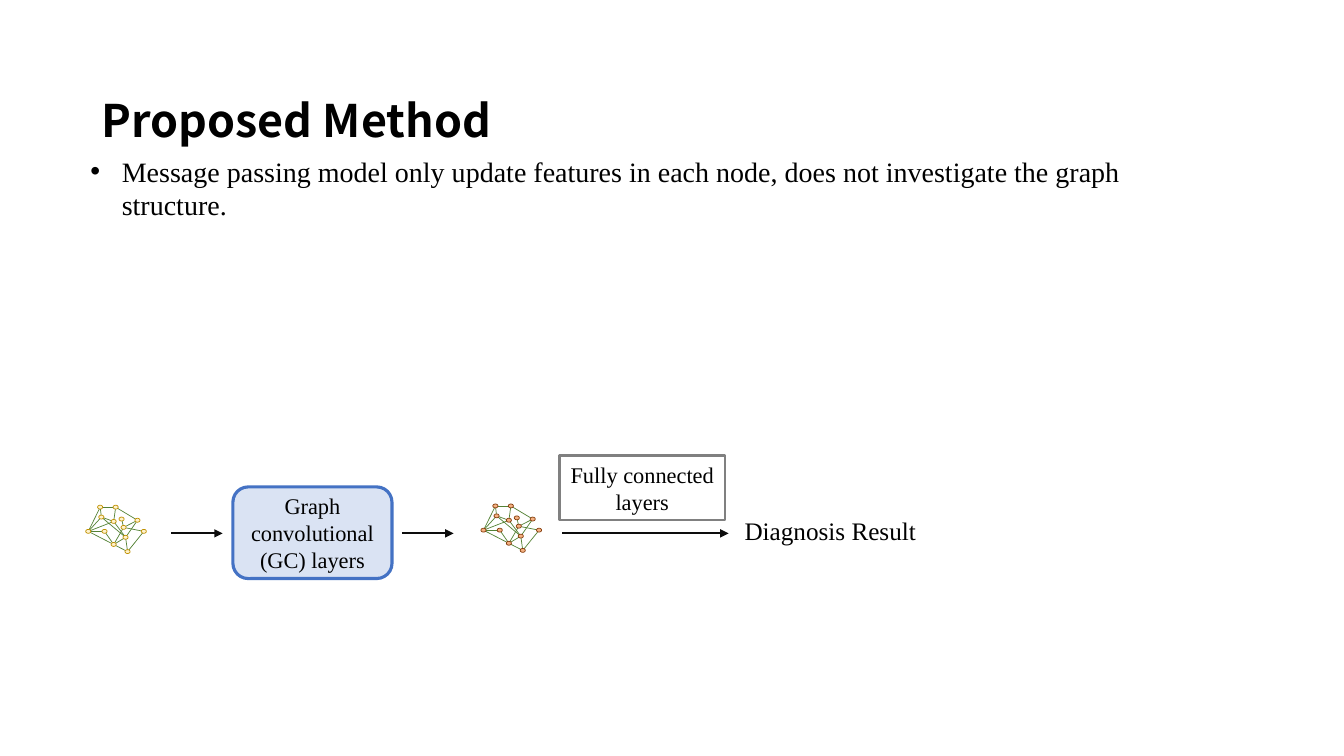
from lxml import etree
from pptx import Presentation
from pptx.dml.color import RGBColor
from pptx.enum import shapes, text
from pptx.oxml import ns
from pptx.util import Cm, Pt

BLACK = RGBColor(0x00, 0x00, 0x00)
ARROW = RGBColor(0x0D, 0x0D, 0x0D)
GREY = RGBColor(0x80, 0x80, 0x80)
BLUE = RGBColor(0x44, 0x72, 0xC4)
PALE_BLUE = RGBColor(0xDA, 0xE3, 0xF3)
GREEN = RGBColor(0x54, 0x82, 0x35)
PALE_YELLOW = RGBColor(0xFF, 0xF2, 0xCC)
GOLD = RGBColor(0xBF, 0x90, 0x00)
ORANGE = RGBColor(0xF4, 0xB1, 0x83)
BROWN = RGBColor(0x84, 0x3C, 0x0B)


def write(shape, wording, size, align=text.PP_ALIGN.CENTER):
    frame = shape.text_frame
    frame.word_wrap = True
    frame.text = wording
    paragraph = frame.paragraphs[0]
    paragraph.alignment = align
    font_format = {"name": "Times New Roman", "size": Pt(size)}
    for attribute, value in font_format.items():
        setattr(paragraph.runs[0].font, attribute, value)
    paragraph.runs[0].font.color.rgb = BLACK
    return frame


def draw_line(parent, x1, y1, x2, y2, color, width):
    line = parent.add_connector(
        shapes.MSO_CONNECTOR.STRAIGHT, Cm(x1), Cm(y1), Cm(x2), Cm(y2))
    line.line.color.rgb = color
    line.line.width = Pt(width)
    etree.SubElement(line._element.spPr, ns.qn("a:effectLst"))
    return line


prs = Presentation()
prs.slide_width, prs.slide_height = Cm(33.87), Cm(19.05)
slide = prs.slides.add_slide(prs.slide_layouts[5])

title = slide.shapes.title
title.left, title.top, title.width, title.height = Cm(2.57), Cm(1.93), Cm(28.78), Cm(2.87)
title_frame = write(title, "Proposed Method", 32, text.PP_ALIGN.LEFT)
frame_format = {
    "margin_left": 0, "margin_top": 0, "margin_right": 0, "margin_bottom": Cm(0.13),
    "vertical_anchor": text.MSO_ANCHOR.TOP, "auto_size": text.MSO_AUTO_SIZE.NONE,
}
for attribute, value in frame_format.items():
    setattr(title_frame, attribute, value)
heading = title_frame.paragraphs[0]
heading.line_spacing = 1.3
heading.runs[0].font.name = "Noto Sans CJK SC"
heading.runs[0].font.bold = True
east_asian = etree.SubElement(heading.runs[0].font._element, ns.qn("a:ea"))
east_asian.set("typeface", "Noto Sans CJK SC")

limitation = slide.shapes.add_textbox(Cm(2.03), Cm(3.76), Cm(28.47), Cm(1.96))
limitation_frame = write(
    limitation,
    "Message passing model only update features in each node, "
    "does not investigate the graph structure.",
    20, text.PP_ALIGN.LEFT)
limitation_frame.auto_size = text.MSO_AUTO_SIZE.SHAPE_TO_FIT_TEXT
properties = limitation_frame.paragraphs[0]._p.get_or_add_pPr()
properties.set("marL", str(Cm(0.79)))
properties.set("indent", str(-Cm(0.79)))
etree.SubElement(properties, ns.qn("a:buFont")).set("typeface", "Arial")
etree.SubElement(properties, ns.qn("a:buChar")).set("char", "•")

diagnosis = slide.shapes.add_textbox(Cm(18.36), Cm(12.85), Cm(5.13), Cm(1.02))
write(diagnosis, "Diagnosis Result", 18).auto_size = text.MSO_AUTO_SIZE.SHAPE_TO_FIT_TEXT

layers = [
    ("Fully connected layers", shapes.MSO_SHAPE.RECTANGLE,
     (14.1, 11.48, 4.17, 1.63), None, GREY, 1.5),
    ("Graph convolutional (GC) layers", shapes.MSO_SHAPE.ROUNDED_RECTANGLE,
     (5.87, 12.27, 4.01, 2.31), PALE_BLUE, BLUE, 2.25),
]
for wording, outline, place, fill, border, width in layers:
    layer = slide.shapes.add_shape(outline, *map(Cm, place))
    layer.shadow.inherit = False
    if fill is None:
        layer.fill.background()
    else:
        layer.fill.solid()
        layer.fill.fore_color.rgb = fill
    layer.line.color.rgb = border
    layer.line.width = Pt(width)
    write(layer, wording, 16).vertical_anchor = text.MSO_ANCHOR.MIDDLE

FLOW_Y = 13.44
for start, end in [(4.32, 5.61), (10.13, 11.43), (14.17, 18.36)]:
    arrow = draw_line(slide.shapes, start, FLOW_Y, end, FLOW_Y, ARROW, 1.5)
    etree.SubElement(arrow.line._get_or_add_ln(), ns.qn("a:tailEnd")).set("type", "triangle")

NODE_W, NODE_H = 0.13, 0.1
nodes = [
    (0.64, 0.94), (0.69, 0), (0.94, 0.76), (1.24, 0.33), (0.33, 0.25),
    (0.64, 0.36), (0.89, 0.51), (0, 0.61), (0.41, 0.61), (0.3, 0),
    (0.84, 0.3), (1.4, 0.61), (0.99, 1.12),
]
edges = [
    (4, 5), (4, 7), (1, 5), (1, 3), (6, 3), (2, 3), (0, 6), (4, 2),
    (7, 5), (2, 5), (7, 0), (0, 2), (8, 0), (2, 12), (0, 12), (11, 12),
    (6, 11), (6, 10), (1, 9), (9, 4), (7, 9), (7, 8),
]
graphs = [(2.16, 12.73, PALE_YELLOW, GOLD), (12.12, 12.7, ORANGE, BROWN)]
for left, top, fill, border in graphs:
    graph = slide.shapes.add_group_shape().shapes
    centres = [(left + x + NODE_W / 2, top + y + NODE_H / 2) for x, y in nodes]
    for start, end in edges:
        draw_line(graph, *centres[start], *centres[end], GREEN, 0.5)
    for x, y in nodes:
        node = graph.add_shape(
            shapes.MSO_SHAPE.OVAL, Cm(left + x), Cm(top + y), Cm(NODE_W), Cm(NODE_H))
        node.shadow.inherit = False
        node.fill.solid()
        node.fill.fore_color.rgb = fill
        node.line.color.rgb = border
        node.line.width = Pt(0.5)

prs.save("out.pptx")
